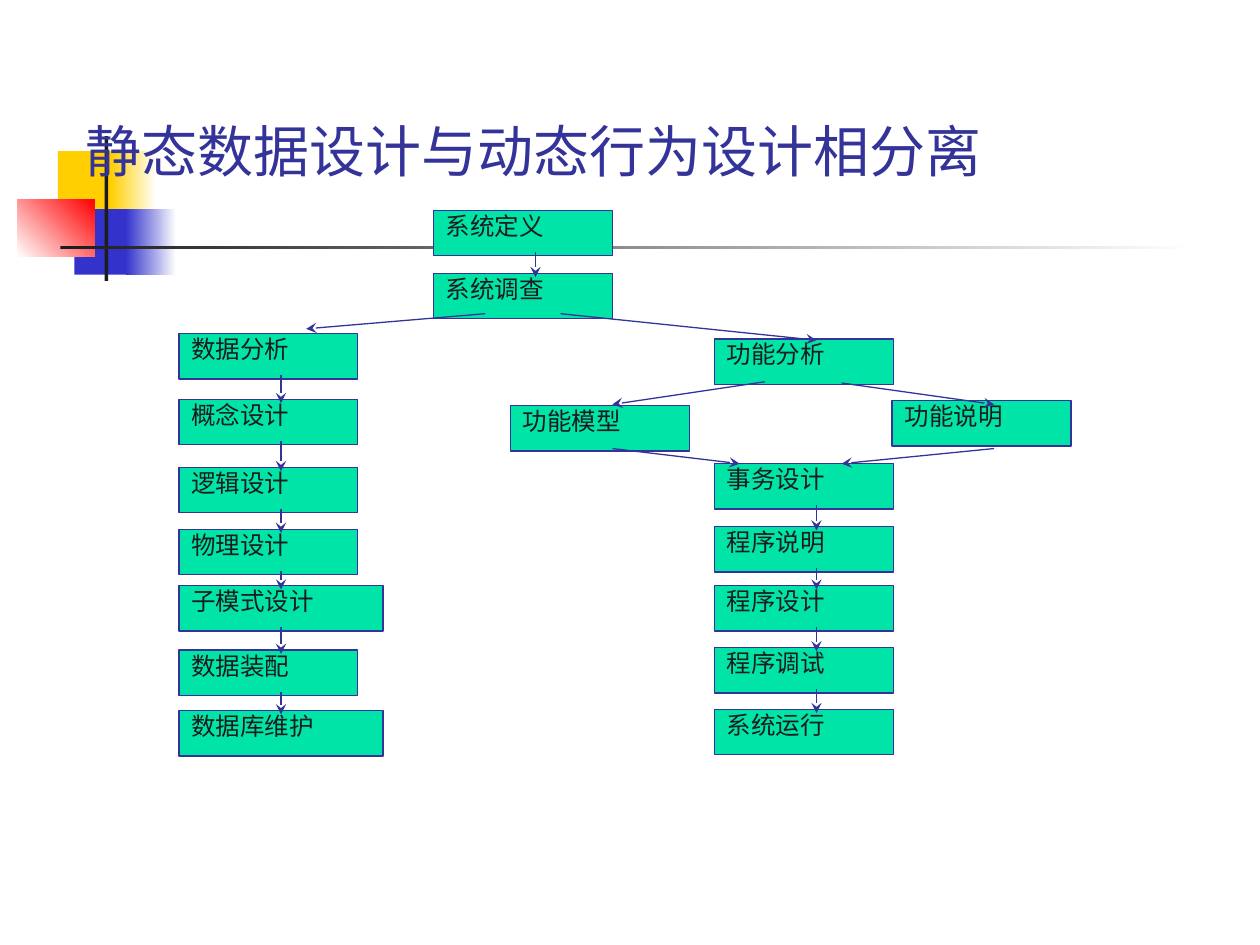
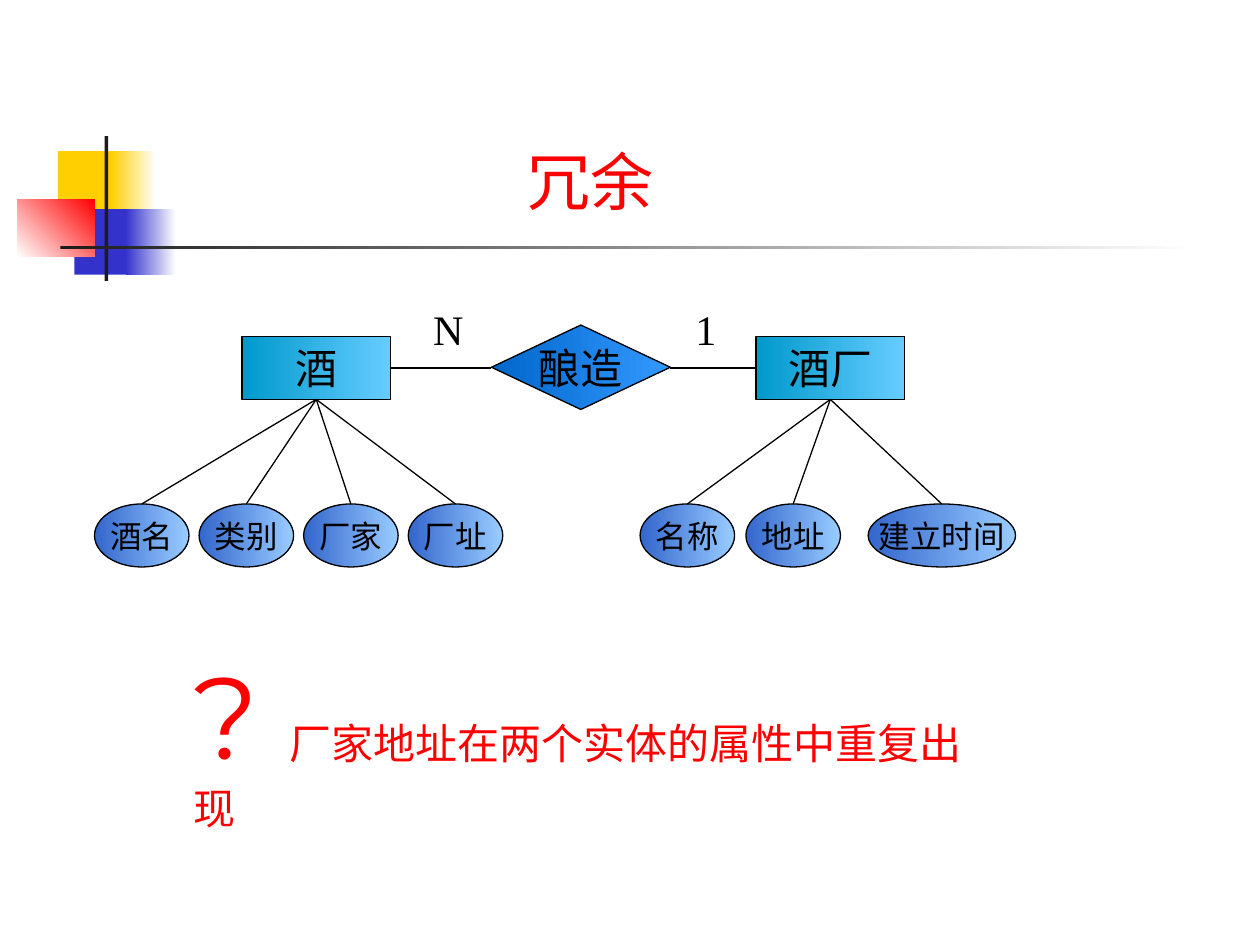
from lxml.etree import SubElement
from pptx import Presentation
from pptx.dml.color import RGBColor
from pptx.enum.shapes import MSO_CONNECTOR, MSO_SHAPE
from pptx.enum.text import MSO_ANCHOR, PP_ALIGN
from pptx.oxml.ns import qn
from pptx.util import Inches, Pt

WHITE = RGBColor(0xFF, 0xFF, 0xFF)
BLACK = RGBColor(0x00, 0x00, 0x00)
INK = RGBColor(0x1C, 0x1C, 0x1C)
RED = RGBColor(0xFF, 0x00, 0x00)
YELLOW = RGBColor(0xFF, 0xCF, 0x01)
BLUE = RGBColor(0x33, 0x33, 0xCC)
NAVY = RGBColor(0x33, 0x33, 0x99)
STEP_GREEN = RGBColor(0x00, 0xE4, 0xA8)
ENTITY_FILL = (RGBColor(0x00, 0x99, 0xCC), RGBColor(0x66, 0xCC, 0xFF))
RELATION_FILL = (RGBColor(0x00, 0x66, 0xCC), RGBColor(0x33, 0x99, 0xFF))
ATTRIBUTE_FILL = (RGBColor(0x33, 0x66, 0xCC), RGBColor(0x99, 0xCC, 0xFF))

CJK_FONT = "Noto Sans CJK SC"
SERIF = "Times New Roman"

STEP_W, WIDE_STEP_W, STEP_H = 1.42, 1.62, 0.36
ARROW_X = 0.81    # arrow axis, from the left edge of a step
OVERLAP = 0.03    # how far an arrow reaches into the steps it joins
ENTITY_W, ENTITY_H = 1.18, 0.5
ATTRIBUTE_W, ATTRIBUTE_H, ATTRIBUTE_DROP = 0.75, 0.5, 1.33


def style_run(run, size, color, font):
    run.font.size = Pt(size)
    run.font.color.rgb = color
    run.font.name = font
    SubElement(run.font._element, qn("a:ea"), typeface=CJK_FONT)


def write(shape, text, size, color, font=SERIF, align=PP_ALIGN.LEFT,
          anchor=MSO_ANCHOR.MIDDLE, wrap=False):
    frame = shape.text_frame
    frame.text = text
    frame.word_wrap = wrap
    frame.vertical_anchor = anchor
    paragraph = frame.paragraphs[0]
    paragraph.alignment = align
    style_run(paragraph.runs[0], size, color, font)
    return paragraph


def add_text(slide, box, text, size, color, **options):
    label = slide.shapes.add_textbox(*map(Inches, box))
    write(label, text, size, color, **options)
    return label


def add_block(slide, box, fill, outline=None, kind=MSO_SHAPE.RECTANGLE, angle=0):
    """Shape with a plain fill, or a gradient when fill is a pair of colours."""
    block = slide.shapes.add_shape(kind, *map(Inches, box))
    block.shadow.inherit = False
    if isinstance(fill, RGBColor):
        block.fill.solid()
        block.fill.fore_color.rgb = fill
    else:
        block.fill.gradient()
        block.fill.gradient_angle = angle
        for stop, color in zip(block.fill.gradient_stops, fill):
            stop.color.rgb = color
    if outline is None:
        block.line.fill.background()
    else:
        block.line.color.rgb = outline
        block.line.width = Pt(0.75)
    return block


def add_line(slide, start, end, color, arrow=False):
    line = slide.shapes.add_connector(
        MSO_CONNECTOR.STRAIGHT, *map(Inches, (*start, *end)))
    line.line.color.rgb = color
    line.line.width = Pt(0.75)
    if arrow:
        SubElement(line.line._get_or_add_ln(), qn("a:tailEnd"), type="stealth")
    SubElement(line._element.spPr, qn("a:effectLst"))


def add_ornament(slide, left=0.14, top=1.08):
    """Coloured squares and crossing bars shared by both slides."""
    parts = [
        (0.32, 0.12, 0.48, 0.52, YELLOW, 0),
        (0.74, 0.12, 0.36, 0.52, (YELLOW, WHITE), 0),
        (0.45, 0.58, 0.46, 0.52, BLUE, 0),
        (0.86, 0.58, 0.40, 0.52, (BLUE, WHITE), 0),
        (0, 0.5, 0.61, 0.46, (WHITE, RED), 45),
        (0.69, 0, 0.03, 1.15, INK, 0),
        (0.34, 0.87, 9, 0.03, (INK, WHITE), 0),
    ]
    for dx, dy, width, height, fill, angle in parts:
        add_block(slide, (left + dx, top + dy, width, height), fill, angle=angle)


def add_step(slide, left, top, name):
    width = WIDE_STEP_W if len(name) > 4 else STEP_W
    step = add_block(slide, (left, top, width, STEP_H), STEP_GREEN, NAVY)
    paragraph = write(step, name, 14, INK, align=PP_ALIGN.JUSTIFY,
                      anchor=MSO_ANCHOR.TOP, wrap=True)
    paragraph.line_spacing = 0.8


def add_step_column(slide, left, top, steps):
    """Steps under one another, each joined to the next by an arrow."""
    for name, drop in steps:
        add_step(slide, left, top + drop, name)
    x = left + ARROW_X
    for (_, upper), (_, lower) in zip(steps, steps[1:]):
        add_line(slide, (x, top + upper + STEP_H - OVERLAP),
                 (x, top + lower + OVERLAP), NAVY, arrow=True)


def build_separation_slide(slide):
    add_ornament(slide)
    title = add_text(slide, (0.58, 0.83, 8.5, 0.63), "静态数据设计与动态行为设计相分离",
                     32, NAVY, font=CJK_FONT, anchor=MSO_ANCHOR.BOTTOM, wrap=True)
    title.text_frame.margin_top = title.text_frame.margin_bottom = 0

    # Shared start, data branch, function branch
    add_step_column(slide, 3.44, 1.67, [("系统定义", 0), ("系统调查", 0.5)])
    add_step_column(slide, 1.42, 2.65, [
        ("数据分析", 0), ("概念设计", 0.52), ("逻辑设计", 1.06), ("物理设计", 1.55),
        ("子模式设计", 2), ("数据装配", 2.51), ("数据库维护", 2.99)])
    add_step(slide, 5.67, 2.69, "功能分析")
    add_step(slide, 4.05, 3.22, "功能模型")
    add_step(slide, 7.08, 3.18, "功能说明")
    add_step_column(slide, 5.67, 3.68, [
        ("事务设计", 0), ("程序说明", 0.5), ("程序设计", 0.97),
        ("程序调试", 1.46), ("系统运行", 1.95)])

    # Arrows where the flow splits and joins
    for start, end in [
        ((3.85, 2.49), (2.43, 2.61)), ((4.45, 2.49), (6.48, 2.7)),
        ((6.07, 3.03), (4.86, 3.21)), ((6.68, 3.04), (7.89, 3.21)),
        ((4.86, 3.56), (5.87, 3.68)), ((7.89, 3.56), (6.68, 3.68)),
    ]:
        add_line(slide, start, end, NAVY, arrow=True)


def add_entity(slide, left, top, name, attributes):
    """Entity with its attributes below; each is (name, offset, width)."""
    entity = add_block(slide, (left, top, ENTITY_W, ENTITY_H), ENTITY_FILL, BLACK)
    write(entity, name, 24, BLACK, align=PP_ALIGN.CENTER, wrap=True)
    y = top + ATTRIBUTE_DROP
    for label, offset, width in attributes:
        x = left + offset
        oval = add_block(slide, (x, y, width, ATTRIBUTE_H), ATTRIBUTE_FILL,
                         BLACK, MSO_SHAPE.OVAL)
        write(oval, label, 18, BLACK, align=PP_ALIGN.CENTER)
        add_line(slide, (x + width / 2, y),
                 (left + ENTITY_W / 2, top + ENTITY_H), BLACK)


def add_relation(slide, left, top, name):
    width, height, middle = 1.42, 0.67, top + 0.34
    diamond = add_block(slide, (left, top, width, height), RELATION_FILL,
                        BLACK, MSO_SHAPE.FLOWCHART_DECISION)
    write(diamond, name, 24, BLACK, align=PP_ALIGN.CENTER)
    add_line(slide, (left - 0.8, middle), (left, middle), BLACK)
    add_line(slide, (left + width, middle), (left + width + 0.68, middle), BLACK)
    add_text(slide, (left - 0.56, top - 0.22, 0.44, 0.5), "N", 24, BLACK)
    add_text(slide, (left + 1.52, top - 0.22, 0.36, 0.5), "1", 24, BLACK)


def build_redundancy_slide(slide):
    add_ornament(slide)
    add_text(slide, (4.09, 1.08, 1.2, 0.7), "冗余", 36, RED, font="Arial Narrow")

    # Entity-relationship diagram
    add_entity(slide, 1.92, 2.67, "酒", [
        (label, -1.17 + i * 0.83, ATTRIBUTE_W)
        for i, label in enumerate(["酒名", "类别", "厂家", "厂址"])])
    add_entity(slide, 6, 2.67, "酒厂", [
        ("名称", -0.92, ATTRIBUTE_W), ("地址", -0.08, ATTRIBUTE_W),
        ("建立时间", 0.89, 1.17)])
    add_relation(slide, 3.9, 2.58, "酿造")

    # Question about the repeated attribute
    question = add_text(slide, (1.44, 5.06, 6.52, 1.2), "? ", 66, RED,
                        font="Montserrat", anchor=MSO_ANCHOR.TOP, wrap=True)
    remark = question.text_frame.paragraphs[0].add_run()
    remark.text = "厂家地址在两个实体的属性中重复出现"
    style_run(remark, 24, RED, "Montserrat")


def main():
    deck = Presentation()
    deck.slide_width, deck.slide_height = Inches(10), Inches(7.5)
    blank = deck.slide_layouts[6]
    for build in (build_separation_slide, build_redundancy_slide):
        build(deck.slides.add_slide(blank))
    deck.save("out.pptx")


if __name__ == "__main__":
    main()
